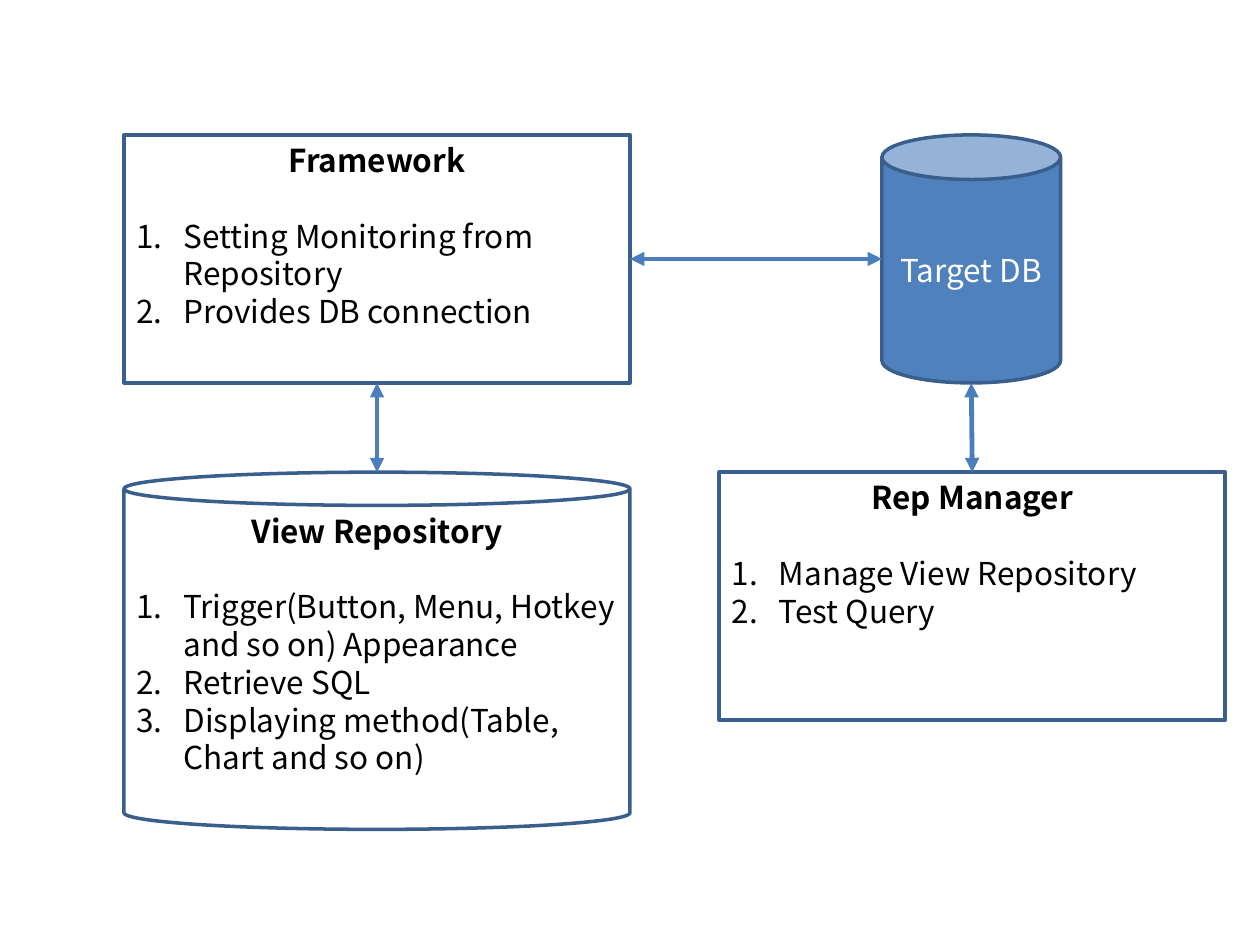
from lxml.etree import SubElement
from pptx import Presentation
from pptx.dml.color import RGBColor
from pptx.enum.shapes import MSO_CONNECTOR, MSO_SHAPE
from pptx.enum.text import MSO_ANCHOR, PP_ALIGN
from pptx.oxml.ns import qn
from pptx.util import Cm, Pt

FILL_BLUE = RGBColor(0x4F, 0x81, 0xBD)
OUTLINE_BLUE = RGBColor(0x3A, 0x5F, 0x8C)
ARROW_BLUE = RGBColor(0x4B, 0x7E, 0xBC)
BLACK = RGBColor(0, 0, 0)
WHITE = RGBColor(255, 255, 255)
FONT = "Noto Sans CJK KR"

LEFT, TOP, LOWER = 2.5, 2.72, 9.52
WIDTH, HEIGHT = 10.2, 5.0
DB_LEFT, DB_WIDTH = 17.78, 3.6
MANAGER_LEFT = 14.5

deck = Presentation()
deck.slide_width, deck.slide_height = Cm(25.4), Cm(19.05)
page = deck.slides.add_slide(deck.slide_layouts[6])


def write(para, text, color, bold):
    span = para.add_run()
    span.text = text
    span.font.color.rgb = color
    for name, value in {"name": FONT, "size": Pt(18), "bold": bold}.items():
        setattr(span.font, name, value)


def add_box(kind, place, title, items):
    box = page.shapes.add_shape(kind, *map(Cm, place))
    box.shadow.inherit = False
    box.line.color.rgb = OUTLINE_BLUE
    box.line.width = Pt(2)
    frame = box.text_frame
    frame.word_wrap = True
    heading = frame.paragraphs[0]
    heading.alignment = PP_ALIGN.CENTER
    if items:
        box.fill.background()
        frame.vertical_anchor = MSO_ANCHOR.TOP
        heading.space_after = Pt(21.6)
        write(heading, title, BLACK, True)
    else:
        box.fill.solid()
        box.fill.fore_color.rgb = FILL_BLUE
        frame.vertical_anchor = MSO_ANCHOR.MIDDLE
        write(heading, title, WHITE, False)
    for item in items:
        para = frame.add_paragraph()
        para.alignment = PP_ALIGN.LEFT
        write(para, item, BLACK, False)
        layout = para._p.get_or_add_pPr()
        layout.set("marL", str(Cm(0.95)))
        layout.set("indent", str(-Cm(0.95)))
        SubElement(layout, qn("a:buFont"), typeface="+mj-lt")
        SubElement(layout, qn("a:buAutoNum"), type="arabicPeriod")
    return box


repository = add_box(
    MSO_SHAPE.CAN, (LEFT, LOWER, WIDTH, 7.2), "View Repository",
    ["Trigger(Button, Menu, Hotkey and so on) Appearance", "Retrieve SQL",
     "Displaying method(Table, Chart and so on)"])
repository.adjustments[0] = 0.093
add_box(MSO_SHAPE.RECTANGLE, (LEFT, TOP, WIDTH, HEIGHT), "Framework",
        ["Setting Monitoring from Repository", "Provides DB connection"])
add_box(MSO_SHAPE.CAN, (DB_LEFT, TOP, DB_WIDTH, HEIGHT), "Target DB", [])
add_box(MSO_SHAPE.RECTANGLE, (MANAGER_LEFT, LOWER, WIDTH, HEIGHT), "Rep Manager",
        ["Manage View Repository", "Test Query"])

framework_middle = LEFT + WIDTH / 2
upper_bottom = TOP + HEIGHT
row_middle = TOP + HEIGHT / 2
arrows = [
    (framework_middle, upper_bottom, framework_middle, LOWER),
    (DB_LEFT, row_middle, LEFT + WIDTH, row_middle),
    (DB_LEFT + DB_WIDTH / 2, upper_bottom, MANAGER_LEFT + WIDTH / 2, LOWER),
]
for ends in arrows:
    arrow = page.shapes.add_connector(MSO_CONNECTOR.STRAIGHT, *map(Cm, ends))
    arrow.line.color.rgb = ARROW_BLUE
    arrow.line.width = Pt(2.75)
    outline = arrow.line._get_or_add_ln()
    for tip in ("a:headEnd", "a:tailEnd"):
        SubElement(outline, qn(tip), type="triangle")
    SubElement(arrow._element.spPr, qn("a:effectLst"))

deck.save("out.pptx")
